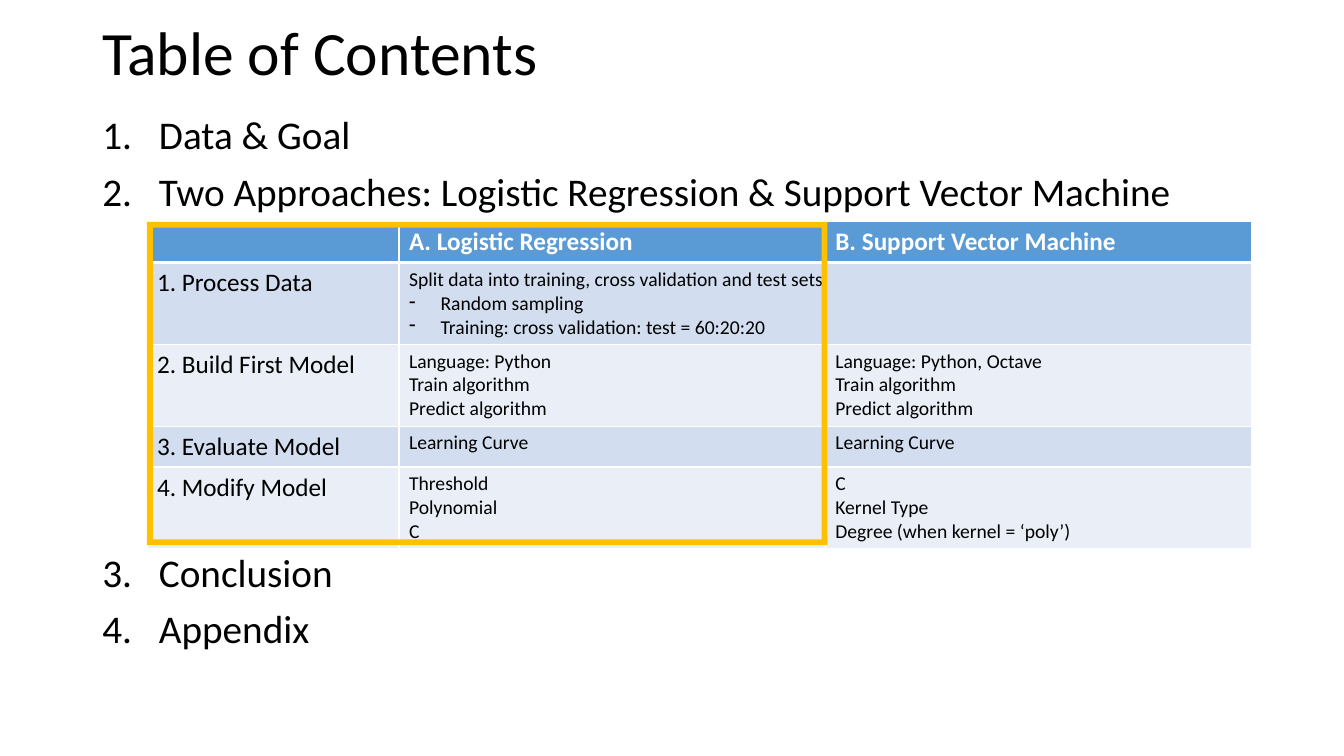
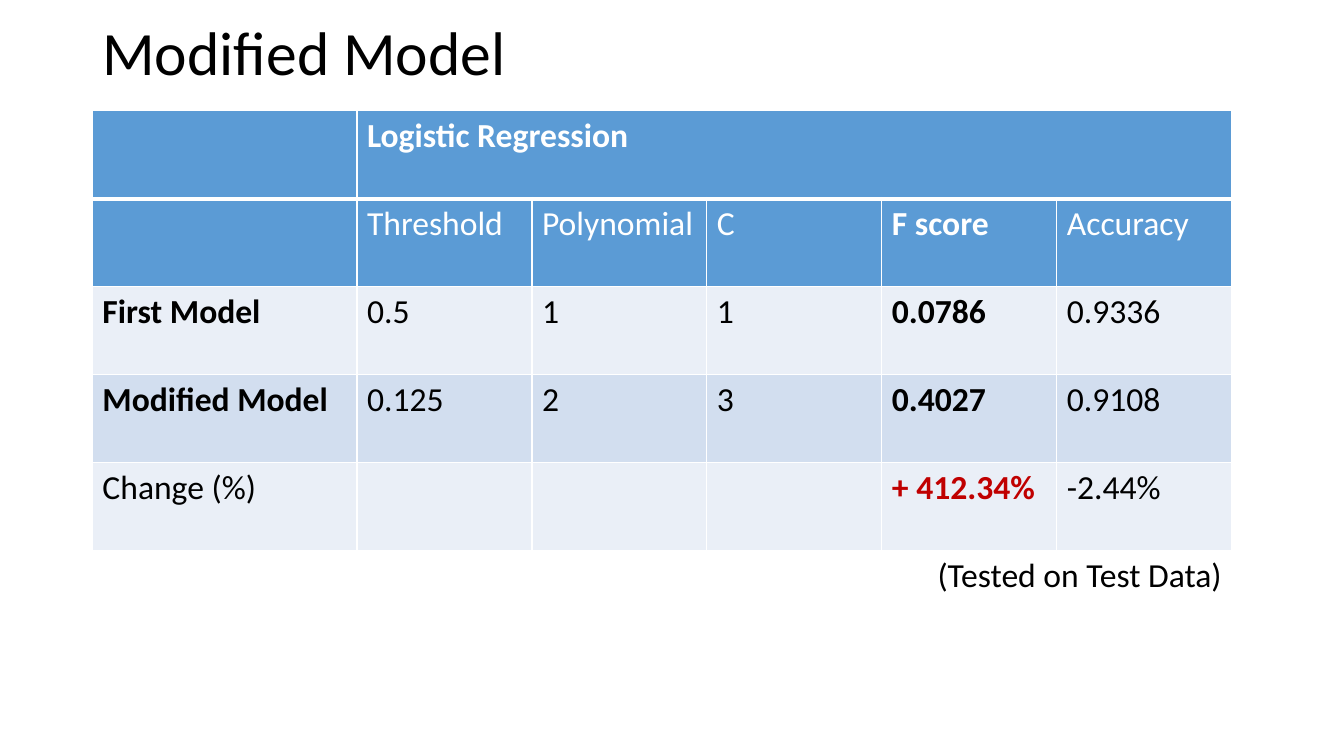
"""Build two slides: a table of contents and the modified model results."""
from lxml import etree
from pptx import Presentation
from pptx.dml.color import RGBColor
from pptx.enum.shapes import MSO_SHAPE as Shape
from pptx.enum.text import MSO_ANCHOR as Anchor, PP_ALIGN as Align
from pptx.oxml.ns import qn
from pptx.util import Pt

COLORS = {
    "text": "000000",
    "white": "FFFFFF",
    "header": "5B9BD5",
    "band_dark": "D2DEEF",
    "band_light": "EAEFF7",
    "highlight": "FFC000",
    "gain": "C00000",
}
FONT = "Calibri"
MARGIN = 66
CONTENT_TOP = 79.2


def write(frame, text, size=18, color="text", bold=False, align=Align.LEFT,
          spacing=None, before=0, first_number=None):
    frame.word_wrap = True
    for index, line in enumerate(text.split("\n")):
        paragraph = frame.paragraphs[0] if index == 0 else frame.add_paragraph()
        paragraph.alignment = align
        paragraph.space_before = Pt(before)
        if spacing:
            paragraph.line_spacing = spacing
        dashed = line.startswith("- ")
        if dashed or first_number:
            indent = Pt(22.5 if dashed else 40.5)
            properties = paragraph._p.get_or_add_pPr()
            properties.set("marL", str(indent))
            properties.set("indent", str(-indent))
            if dashed:
                etree.SubElement(properties, qn("a:buChar"), char="-")
            else:
                etree.SubElement(properties, qn("a:buAutoNum"),
                                 type="arabicPeriod", startAt=str(first_number))
        run = paragraph.add_run()
        run.text = line.removeprefix("- ")
        run.font.name = FONT
        run.font.size = Pt(size)
        run.font.bold = bold
        run.font.color.rgb = RGBColor.from_string(COLORS[color])


def add_grid(slide, left, top, widths, heights, fills):
    grid = slide.shapes.add_table(len(heights), len(widths), Pt(left), Pt(top),
                                  Pt(sum(widths)), Pt(sum(heights))).table
    for column, width in zip(grid.columns, widths):
        column.width = Pt(width)
    for row_index, (height, fill) in enumerate(zip(heights, fills)):
        grid.rows[row_index].height = Pt(height)
        for cell in grid.rows[row_index].cells:
            properties = cell._tc.get_or_add_tcPr()
            for side in "LRTB":
                thick = (row_index, side) in ((0, "B"), (1, "T"))
                border = etree.SubElement(properties, qn(f"a:ln{side}"),
                                          w=str(Pt(3 if thick else 1)))
                paint = etree.SubElement(border, qn("a:solidFill"))
                etree.SubElement(paint, qn("a:srgbClr"), val=COLORS["white"])
            if fill:
                cell.fill.solid()
                cell.fill.fore_color.rgb = RGBColor.from_string(COLORS[fill])
            else:
                cell.fill.background()
    return grid


deck = Presentation()
deck.slide_width, deck.slide_height = Pt(960), Pt(540)
slides = []
for heading in ("Table of Contents", "Modified Model"):
    slide = deck.slides.add_slide(deck.slide_layouts[6])
    title = slide.shapes.add_textbox(Pt(MARGIN), Pt(10), Pt(828), Pt(59)).text_frame
    title.vertical_anchor = Anchor.MIDDLE
    write(title, heading, size=44, spacing=0.9)
    slides.append(slide)
contents, results = slides

chapters = [
    (CONTENT_TOP, 1, "Data & Goal\nTwo Approaches: Logistic Regression & Support Vector Machine"),
    (392, 3, "Conclusion\nAppendix"),
]
for top, first_number, items in chapters:
    chapter_list = contents.shapes.add_textbox(Pt(MARGIN), Pt(top), Pt(828), Pt(80))
    write(chapter_list.text_frame, items, size=28, spacing=0.9, before=10,
          first_number=first_number)

approach_rows = [
    ["", "A. Logistic Regression", "B. Support Vector Machine"],
    ["1. Process Data",
     "Split data into training, cross validation and test sets\n"
     "- Random sampling\n- Training: cross validation: test = 60:20:20", ""],
    ["2. Build First Model",
     "Language: Python\nTrain algorithm\nPredict algorithm",
     "Language: Python, Octave\nTrain algorithm\nPredict algorithm"],
    ["3. Evaluate Model", "Learning Curve", "Learning Curve"],
    ["4. Modify Model", "Threshold\nPolynomial\nC",
     "C\nKernel Type\nDegree (when kernel = ‘poly’)"],
]
approach_left, approach_top = 105, 158.4
approaches = add_grid(contents, approach_left, approach_top, [180, 304.5, 304.5],
                      [29.2, 58.4, 58.4, 29.2, 58.4],
                      ["header"] + ["band_dark", "band_light"] * 2)
approaches.cell(1, 1).merge(approaches.cell(1, 2))
for row, texts in enumerate(approach_rows):
    for column, text in enumerate(texts):
        if text:
            write(approaches.cell(row, column).text_frame, text,
                  size=18 if row == 0 or column == 0 else 14,
                  color="white" if row == 0 else "text", bold=row == 0)

highlight = contents.shapes.add_shape(Shape.FRAME, Pt(approach_left), Pt(approach_top),
                                      Pt(486), Pt(231))
highlight.adjustments[0] = 0.018
highlight.shadow.inherit = False
highlight.fill.solid()
highlight.fill.fore_color.rgb = RGBColor.from_string(COLORS["highlight"])
highlight.line.fill.background()

score_rows = [
    ["", "Logistic Regression", "", "", "", ""],
    ["", "Threshold", "Polynomial", "C", "F score", "Accuracy"],
    ["First Model", "0.5", "1", "1", "0.0786", "0.9336"],
    ["Modified Model", "0.125", "2", "3", "0.4027", "0.9108"],
    ["Change (%)", "", "", "", "+ 412.34%", "-2.44%"],
    ["", "", "", "", "(Tested on Test Data)", ""],
]
score_column, change_row, note_row = 4, 4, 5
scores = add_grid(results, MARGIN, CONTENT_TOP, [189] + [125] * 5, [62.8] * 6,
                  ["header", "header", "band_light", "band_dark", "band_light", None])
scores.cell(0, 1).merge(scores.cell(0, 5))
scores.cell(note_row, 4).merge(scores.cell(note_row, 5))
for row, texts in enumerate(score_rows):
    for column, text in enumerate(texts):
        if not text:
            continue
        is_note = row == note_row
        is_gain = (row, column) == (change_row, score_column)
        is_model = column == 0 and row < change_row
        write(scores.cell(row, column).text_frame, text, size=24,
              color="white" if row < 2 else "gain" if is_gain else "text",
              bold=row == 0 or is_model or (column == score_column and not is_note),
              align=Align.RIGHT if is_note else Align.LEFT)

deck.save("out.pptx")
